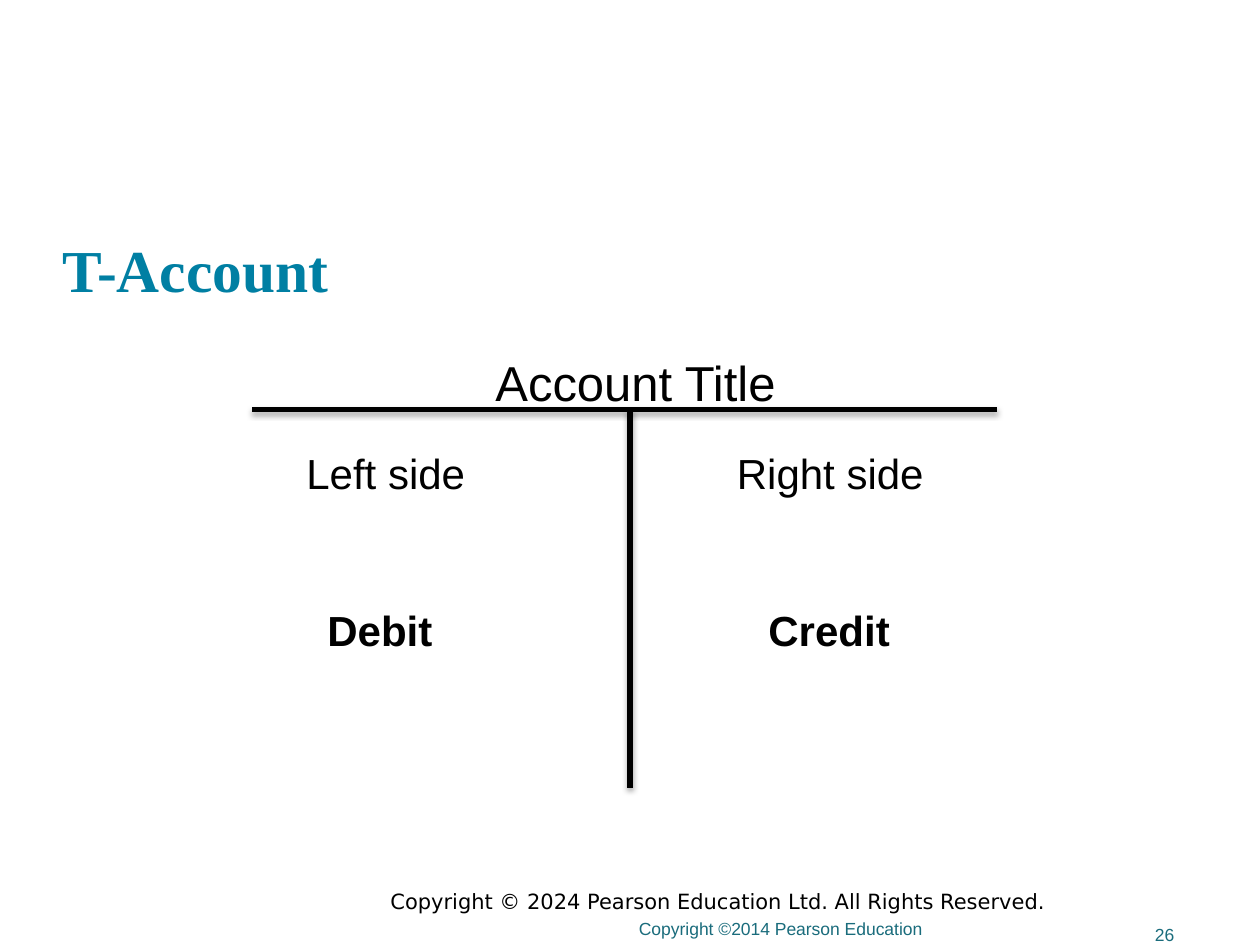
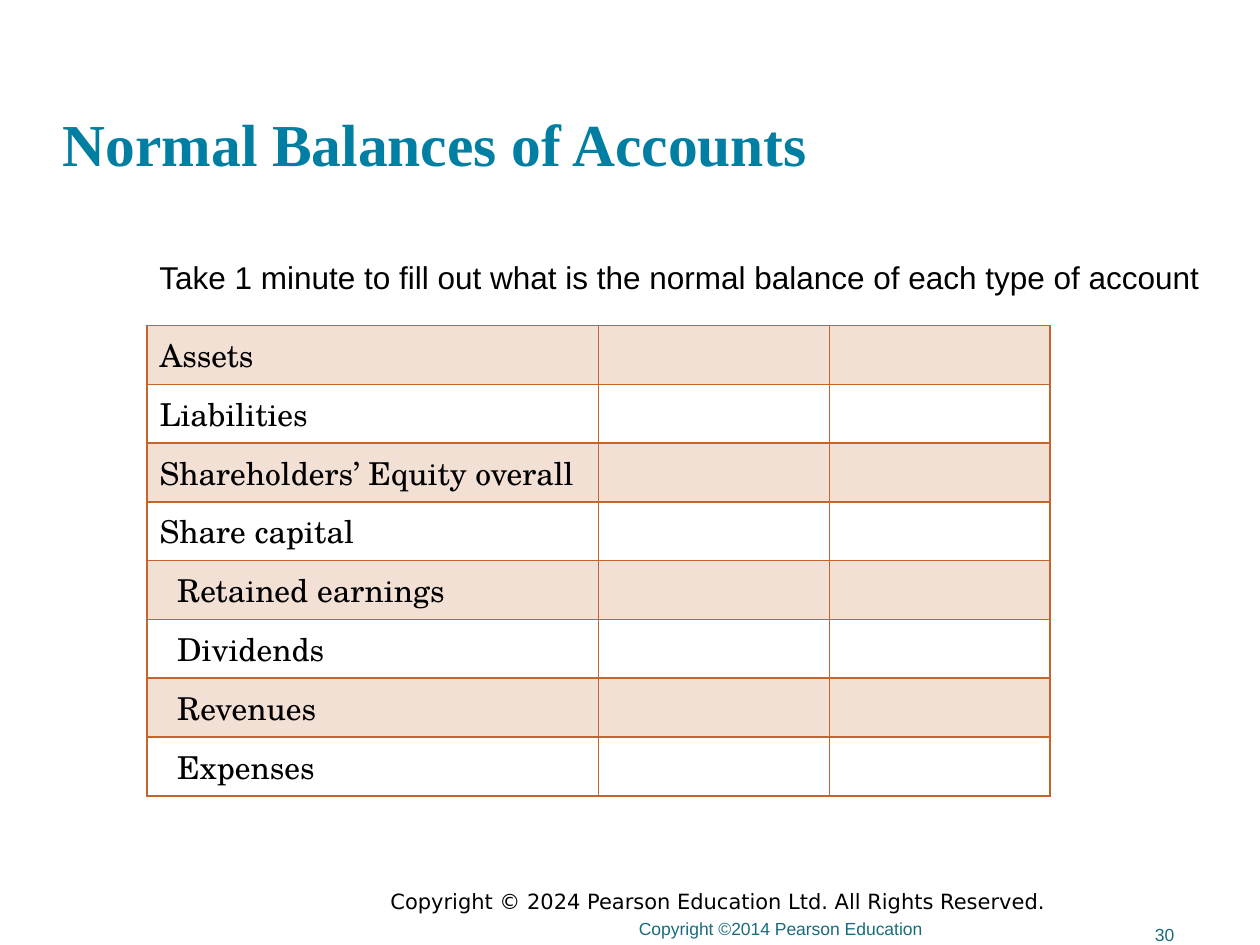
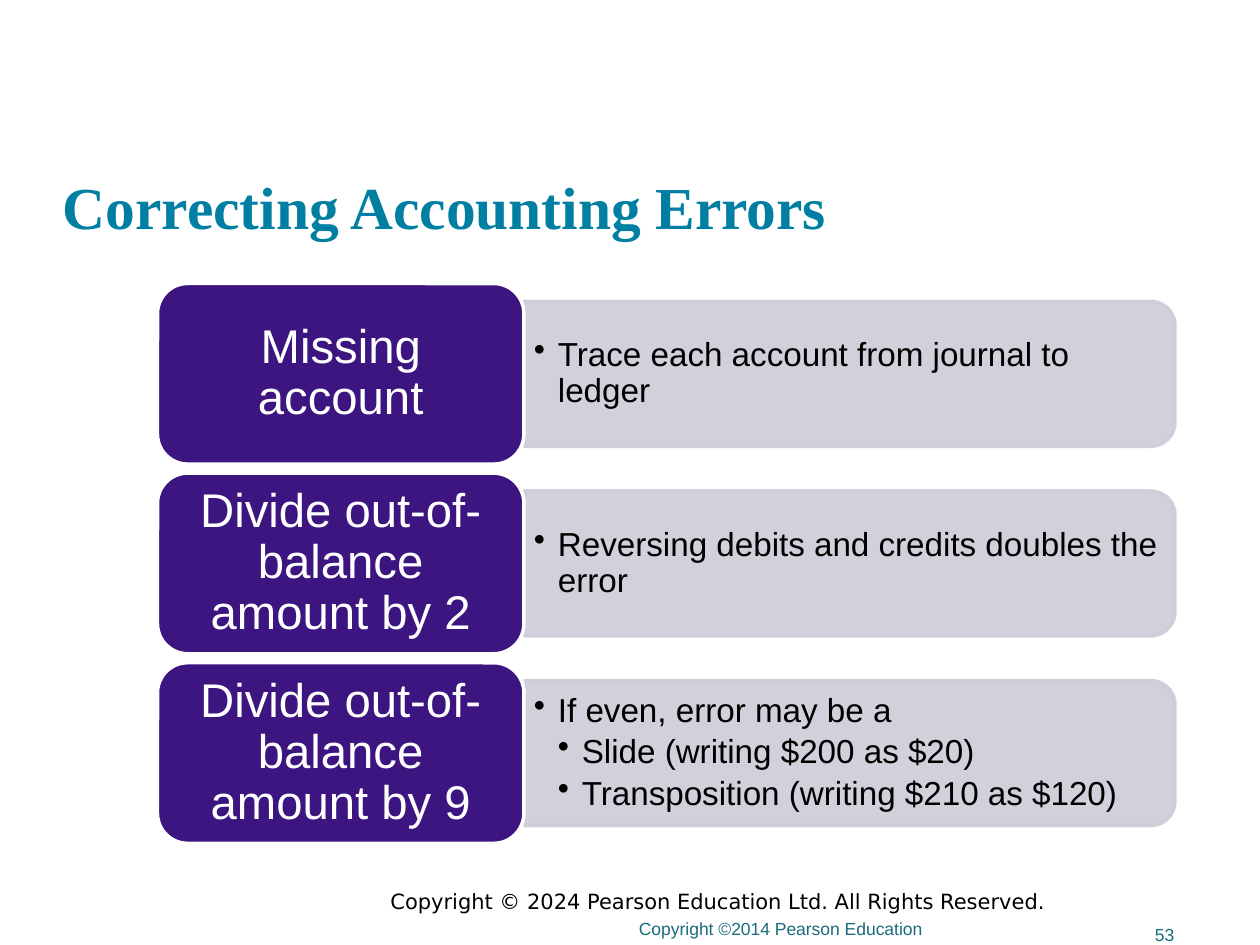
from dataclasses import dataclass

from lxml.etree import SubElement
from pptx import Presentation
from pptx.dml.color import RGBColor
from pptx.enum.shapes import MSO_CONNECTOR as Connector, MSO_SHAPE as Shape
from pptx.enum.text import MSO_ANCHOR as Anchor, PP_ALIGN as Align
from pptx.oxml import parse_xml
from pptx.oxml.ns import nsdecls, qn
from pptx.util import Emu, Inches, Pt


@dataclass(frozen=True)
class Theme:
    black: str = "000000"
    white: str = "FFFFFF"
    teal: str = "007FA3"
    footer: str = "1A6C7C"
    rust: str = "C4652D"
    purple: str = "3C1581"
    lilac: str = "CECCD8"
    sans: str = "Arial"
    heading: str = "Times New Roman"
    legal: str = "DejaVu Sans"
    serif: str = "TeX Gyre Schola"
    title_size: int = 34
    account_size: int = 28
    label_size: int = 27
    side_size: int = 24
    bullet_size: int = 19
    body_size: int = 18
    legal_size: int = 12
    footer_size: int = 10


THEME = Theme()
COLUMNS, ROWS = 120, 90
NO_INSETS = (0, 0)
BOX_INSETS = (0.1, 0.05)


def color(code):
    return RGBColor.from_string(code)


def fade(element, percent):
    for code in element.iter(qn("a:srgbClr")):
        SubElement(code, qn("a:alpha"), val=str(percent * 1000))


class Deck:
    def __init__(self):
        self.presentation = Presentation()
        self.presentation.slide_width = Inches(10)
        self.presentation.slide_height = Inches(7.5)
        self.slide = None

    def x(self, columns):
        return Emu(round(self.presentation.slide_width * columns / COLUMNS))

    def y(self, rows):
        return Emu(round(self.presentation.slide_height * rows / ROWS))

    def box(self, left, top, width, height):
        return self.x(left), self.y(top), self.x(width), self.y(height)

    def start(self, title, title_row, number):
        self.slide = self.presentation.slides.add_slide(self.presentation.slide_layouts[6])
        self.text("Copyright © 2024 Pearson Education Ltd. All Rights Reserved.",
                  (36, 84, 80, 3.6), THEME.legal_size, font=THEME.legal)
        self.text(title, (6, title_row, 108, 14), THEME.title_size, THEME.teal, THEME.heading,
                  bold=True, anchor=Anchor.BOTTOM, insets=NO_INSETS)
        self.text("Copyright ©2014 Pearson Education", (32, 86, 57, 4), THEME.footer_size,
                  THEME.footer, anchor=Anchor.BOTTOM, align=Align.RIGHT)
        self.text(str(number), (110, 85.2, 10, 4.8), THEME.footer_size, THEME.footer,
                  anchor=Anchor.BOTTOM, insets=NO_INSETS)

    def style(self, text_frame, size, code=THEME.black, font=THEME.sans, bold=False,
              align=Align.LEFT, spacing=None):
        for paragraph in text_frame.paragraphs:
            paragraph.alignment = align
            paragraph.line_spacing = spacing
            for run in paragraph.runs:
                run.font.size = Pt(size)
                run.font.name = font
                run.font.bold = bold
                run.font.color.rgb = color(code)

    def frame(self, shape, anchor, insets):
        text_frame = shape.text_frame
        text_frame.word_wrap = True
        text_frame.vertical_anchor = anchor
        text_frame.margin_left = text_frame.margin_right = Inches(insets[0])
        text_frame.margin_top = text_frame.margin_bottom = Inches(insets[1])
        return text_frame

    def text(self, words, place, size, code=THEME.black, font=THEME.sans, bold=False,
             anchor=Anchor.TOP, align=Align.LEFT, insets=BOX_INSETS):
        text_frame = self.frame(self.slide.shapes.add_textbox(*self.box(*place)), anchor, insets)
        text_frame.text = words
        self.style(text_frame, size, code, font, bold, align)

    def bullets(self, items, place):
        text_frame = self.frame(self.slide.shapes.add_textbox(*self.box(*place)),
                                Anchor.MIDDLE, (0.08, 0.04))
        text_frame.text = "\n".join(words for words, level in items)
        for paragraph, (words, level) in zip(text_frame.paragraphs, items):
            properties = paragraph._p.get_or_add_pPr()
            properties.set("marL", str(Inches(0.19 * level)))
            properties.set("indent", str(Inches(-0.19)))
            SubElement(properties, qn("a:buChar"), char="•")
            paragraph.space_after = Pt(3)
        self.style(text_frame, THEME.bullet_size, spacing=0.9)

    def shape(self, kind, place, fill, line):
        shape = self.slide.shapes.add_shape(kind, *self.box(*place))
        shape.shadow.inherit = False
        shape.fill.solid()
        shape.fill.fore_color.rgb = color(fill)
        shape.line.color.rgb = color(line)
        shape.line.width = Pt(2)
        return shape

    def label(self, words, place):
        shape = self.shape(Shape.ROUNDED_RECTANGLE, place, THEME.purple, THEME.white)
        text_frame = self.frame(shape, Anchor.MIDDLE, (0.11, 0.06))
        text_frame.text = words
        self.style(text_frame, THEME.label_size, THEME.white, align=Align.CENTER, spacing=0.9)

    def bar(self, left, top, width, height):
        shift = (width - height) / 2
        shape = self.shape(Shape.ROUND_2_SAME_RECTANGLE,
                           (left + shift, top - shift, height, width), THEME.lilac, THEME.lilac)
        shape.rotation = 90
        fade(shape._element.spPr, 90)

    def line(self, start, end):
        connector = self.slide.shapes.add_connector(
            Connector.STRAIGHT, self.x(start[0]), self.y(start[1]), self.x(end[0]), self.y(end[1]))
        connector.line.color.rgb = color(THEME.black)
        connector.line.width = Pt(3)
        connector._element.spPr.append(parse_xml(
            f'<a:effectLst {nsdecls("a")}><a:outerShdw blurRad="{Pt(3.1)}" dist="{Pt(1.8)}" '
            f'dir="5400000" rotWithShape="0"><a:srgbClr val="{THEME.black}">'
            '<a:alpha val="35000"/></a:srgbClr></a:outerShdw></a:effectLst>'))

    def table(self, rows, left, top, widths, row_height):
        place = self.box(left, top, sum(widths), row_height * len(rows))
        table = self.slide.shapes.add_table(len(rows), len(widths), *place).table
        table.first_row = table.horz_banding = False
        for column, width in zip(table.columns, widths):
            column.width = self.x(width)
        for index, (row, (words, indent)) in enumerate(zip(table.rows, rows)):
            row.height = self.y(row_height)
            row.cells[0].text_frame.text = words
            row.cells[0].margin_left = Inches(0.1 + indent)
            self.style(row.cells[0].text_frame, THEME.body_size, font=THEME.serif)
            for cell in row.cells:
                self.cell(cell, shaded=index % 2 == 0)

    def cell(self, cell, shaded):
        properties = cell._tc.get_or_add_tcPr()
        if shaded:
            cell.fill.solid()
            cell.fill.fore_color.rgb = color(THEME.rust)
            fade(properties, 20)
        else:
            cell.fill.background()
        for position, side in enumerate("LRTB"):
            properties.insert(position, parse_xml(
                f'<a:ln{side} {nsdecls("a")} w="{Pt(1)}"><a:solidFill>'
                f'<a:srgbClr val="{THEME.rust}"/></a:solidFill></a:ln{side}>'))


def t_account(deck):
    deck.start("T-Account", 15, 26)
    deck.line((24, 39), (95, 39))
    deck.line((60, 39), (60, 75))
    deck.text("Account Title", (46, 33, 33, 6.8), THEME.account_size)
    for left, side, entry in ((28, "Left side", "Debit"), (69, "Right side", "Credit")):
        deck.text(side, (left, 42, 23, 6), THEME.side_size)
        entry_left = left + 2 if side == "Left side" else left + 3
        deck.text(entry, (entry_left, 57, 15, 6), THEME.side_size, bold=True)


def normal_balances(deck):
    deck.start("Normal Balances of Accounts", 3, 30)
    accounts = ["Assets", "Liabilities", "Shareholders’ Equity overall", "Share capital"]
    equity_parts = ["Retained earnings", "Dividends", "Revenues", "Expenses"]
    rows = [(name, 0) for name in accounts] + [(name, 0.14) for name in equity_parts]
    deck.table(rows, 14, 31, (43, 22, 21), 5.6)
    deck.text("Take 1 minute to fill out what is the normal balance of each type of account",
              (14, 24, 106, 4.8), THEME.body_size)


def accounting_errors(deck):
    deck.start("Correcting Accounting Errors", 9, 53)
    errors = (
        ("Missing account", [("Trace each account from journal to ledger", 1)]),
        ("Divide out-of-balance amount by 2",
         [("Reversing debits and credits doubles the error", 1)]),
        ("Divide out-of-balance amount by 9",
         [("If even, error may be a", 1),
          ("Slide (writing $200 as $20)", 2),
          ("Transposition (writing $210 as $120)", 2)]),
    )
    left, label_width, label_height, bar_height, text_height = 15, 34.9, 17.2, 13.8, 12.4
    bar_left = left + label_width
    for index, (error, remedies) in enumerate(errors):
        top = 27 + 18.06 * index
        middle = top + label_height / 2
        deck.bar(bar_left, middle - bar_height / 2, 62, bar_height)
        deck.bullets(remedies, (bar_left, middle - text_height / 2, 61.4, text_height))
        deck.label(error, (left, top, label_width, label_height))


def main():
    deck = Deck()
    t_account(deck)
    normal_balances(deck)
    accounting_errors(deck)
    deck.presentation.save("out.pptx")


if __name__ == "__main__":
    main()
